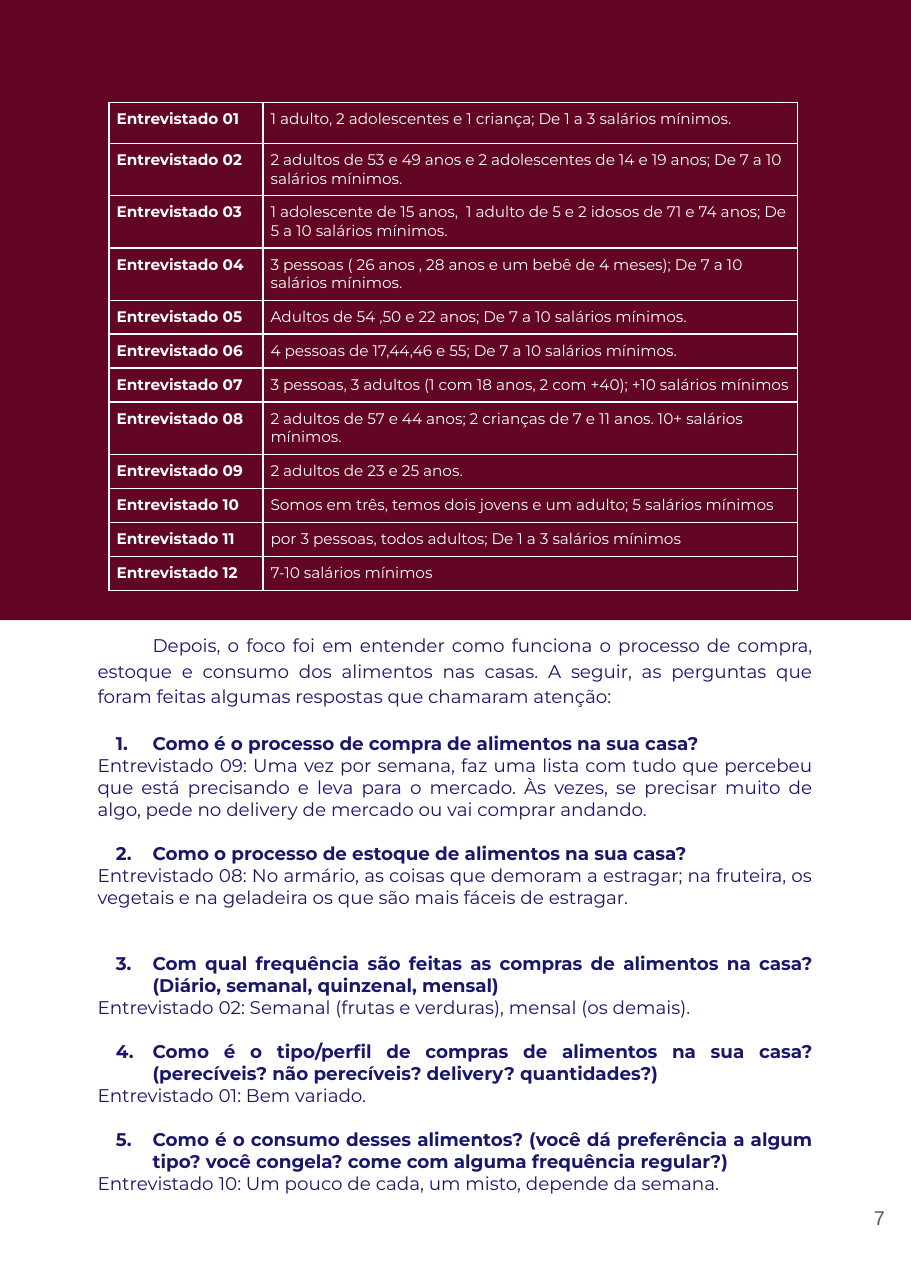
from lxml.etree import SubElement
from pptx import Presentation
from pptx.dml.color import RGBColor
from pptx.enum.shapes import MSO_SHAPE
from pptx.enum.text import MSO_ANCHOR, PP_ALIGN
from pptx.oxml import parse_xml
from pptx.oxml.ns import nsdecls, qn
from pptx.util import Pt

WINE, NAVY, WHITE, GRAY = "620623", "191769", "FFFFFF", "595959"

HOUSEHOLDS = [
    "1 adulto, 2 adolescentes e 1 criança; De 1 a 3 salários mínimos.",
    "2 adultos de 53 e 49 anos e 2 adolescentes de 14 e 19 anos; De 7 a 10 salários mínimos.",
    "1 adolescente de 15 anos,  1 adulto de 5 e 2 idosos de 71 e 74 anos; De 5 a 10 salários mínimos.",
    "3 pessoas ( 26 anos , 28 anos e um bebê de 4 meses); De 7 a 10 salários mínimos.",
    "Adultos de 54 ,50 e 22 anos; De 7 a 10 salários mínimos.",
    "4 pessoas de 17,44,46 e 55; De 7 a 10 salários mínimos.",
    "3 pessoas, 3 adultos (1 com 18 anos, 2 com +40); +10 salários mínimos",
    "2 adultos de 57 e 44 anos; 2 crianças de 7 e 11 anos. 10+ salários mínimos.",
    "2 adultos de 23 e 25 anos.",
    "Somos em três, temos dois jovens e um adulto; 5 salários mínimos",
    "por 3 pessoas, todos adultos; De 1 a 3 salários mínimos",
    "7-10 salários mínimos",
]
INTRO = (
    "Depois, o foco foi em entender como funciona o processo de compra, estoque e consumo "
    "dos alimentos nas casas. A seguir, as perguntas que foram feitas algumas respostas "
    "que chamaram atenção:"
)
# Space before the question, question, answer
QUESTIONS = [
    (16, "Como é o processo de compra de alimentos na sua casa?",
     "Entrevistado 09: Uma vez por semana, faz uma lista com tudo que percebeu que está "
     "precisando e leva para o mercado. Às vezes, se precisar muito de algo, pede no "
     "delivery de mercado ou vai comprar andando."),
    (14.4, "Como o processo de estoque de alimentos na sua casa?",
     "Entrevistado 08: No armário, as coisas que demoram a estragar; na fruteira, os "
     "vegetais e na geladeira os que são mais fáceis de estragar."),
    (28.8, "Com qual frequência são feitas as compras de alimentos na casa?"
     "(Diário, semanal, quinzenal, mensal)",
     "Entrevistado 02: Semanal (frutas e verduras), mensal (os demais)."),
    (14.4, "Como é o tipo/perfil de compras de alimentos na sua casa? "
     "(perecíveis? não perecíveis? delivery? quantidades?)",
     "Entrevistado 01: Bem variado."),
    (14.4, "Como é o consumo desses alimentos? (você dá preferência a algum tipo? "
     "você congela? come com alguma frequência regular?)",
     "Entrevistado 10: Um pouco de cada, um misto, depende da semana."),
]


def color(hex_code):
    return RGBColor.from_string(hex_code)


def style(para, size, hex_code, bold=False, name="Montserrat"):
    para.font.size = Pt(size)
    para.font.name = name
    para.font.bold = bold
    para.font.color.rgb = color(hex_code)


deck = Presentation()
deck.slide_width, deck.slide_height = Pt(595.44), Pt(841.68)
page = deck.slides.add_slide(deck.slide_layouts[6])

band = page.shapes.add_shape(MSO_SHAPE.RECTANGLE, 0, 0, deck.slide_width, Pt(405.3))
band.shadow.inherit = False
band.fill.solid()
band.fill.fore_color.rgb = color(WINE)
band.line.fill.background()

# Questions and answers
box = page.shapes.add_textbox(Pt(56.7), Pt(405.3), Pt(481.9), Pt(422))
frame = box.text_frame
frame.word_wrap = True
frame.margin_left = frame.margin_right = frame.margin_top = frame.margin_bottom = Pt(7.2)
para = frame.paragraphs[0]
para.text = INTRO
para.alignment = PP_ALIGN.JUSTIFY
para.line_spacing = 1.15
para._p.get_or_add_pPr().set("indent", str(Pt(36)))
style(para, 12, NAVY)

for number, (gap, question, answer) in enumerate(QUESTIONS, 1):
    para = frame.add_paragraph()
    para.text = question
    props = para._p.get_or_add_pPr()
    props.set("marL", str(Pt(36)))
    props.set("indent", str(Pt(-24)))
    bullet_color = SubElement(props, qn("a:buClr"))
    SubElement(bullet_color, qn("a:srgbClr"), val=NAVY)
    SubElement(props, qn("a:buFont"), typeface="Montserrat")
    SubElement(props, qn("a:buAutoNum"), type="arabicPeriod", startAt=str(number))
    para.alignment = PP_ALIGN.JUSTIFY
    para.space_before = Pt(gap)
    style(para, 12, NAVY, bold=True)

    para = frame.add_paragraph()
    para.text = answer
    para.alignment = PP_ALIGN.JUSTIFY
    style(para, 12, NAVY)

# Interviewed households
TWO_LINE_ROWS = (2, 3, 4, 8)
heights = [34.2 if n in TWO_LINE_ROWS else 22.2 for n in range(1, len(HOUSEHOLDS) + 1)]
heights[0] = 26.6
table = page.shapes.add_table(
    len(HOUSEHOLDS), 2, Pt(71.3), Pt(67), Pt(450), Pt(sum(heights))
).table
table.first_row = table.horz_banding = False
table.columns[0].width, table.columns[1].width = Pt(100.6), Pt(349.4)

for index, household in enumerate(HOUSEHOLDS):
    table.rows[index].height = Pt(heights[index])
    for column, text in enumerate((f"Entrevistado {index + 1:02}", household)):
        cell = table.cell(index, column)
        cell.text = text
        cell.margin_left = cell.margin_right = cell.margin_top = cell.margin_bottom = Pt(5)
        style(cell.text_frame.paragraphs[0], 10, WHITE, bold=column == 0)
        cell.fill.background()
        for place, side in enumerate(("lnL", "lnR", "lnT", "lnB")):
            border = parse_xml(
                f'<a:{side} {nsdecls("a")} w="{Pt(1)}"><a:solidFill>'
                f'<a:srgbClr val="{WHITE}"/></a:solidFill></a:{side}>'
            )
            cell._tc.get_or_add_tcPr().insert(place, border)

page_number = page.shapes.add_textbox(Pt(551.7), Pt(763.2), Pt(35.7), Pt(64.4))
frame = page_number.text_frame
frame.word_wrap = True
frame.vertical_anchor = MSO_ANCHOR.MIDDLE
frame.margin_left = frame.margin_right = frame.margin_top = frame.margin_bottom = Pt(9)
para = frame.paragraphs[0]
para.text = "7"
para.alignment = PP_ALIGN.RIGHT
style(para, 13, GRAY, name="Arial")

deck.save("out.pptx")
